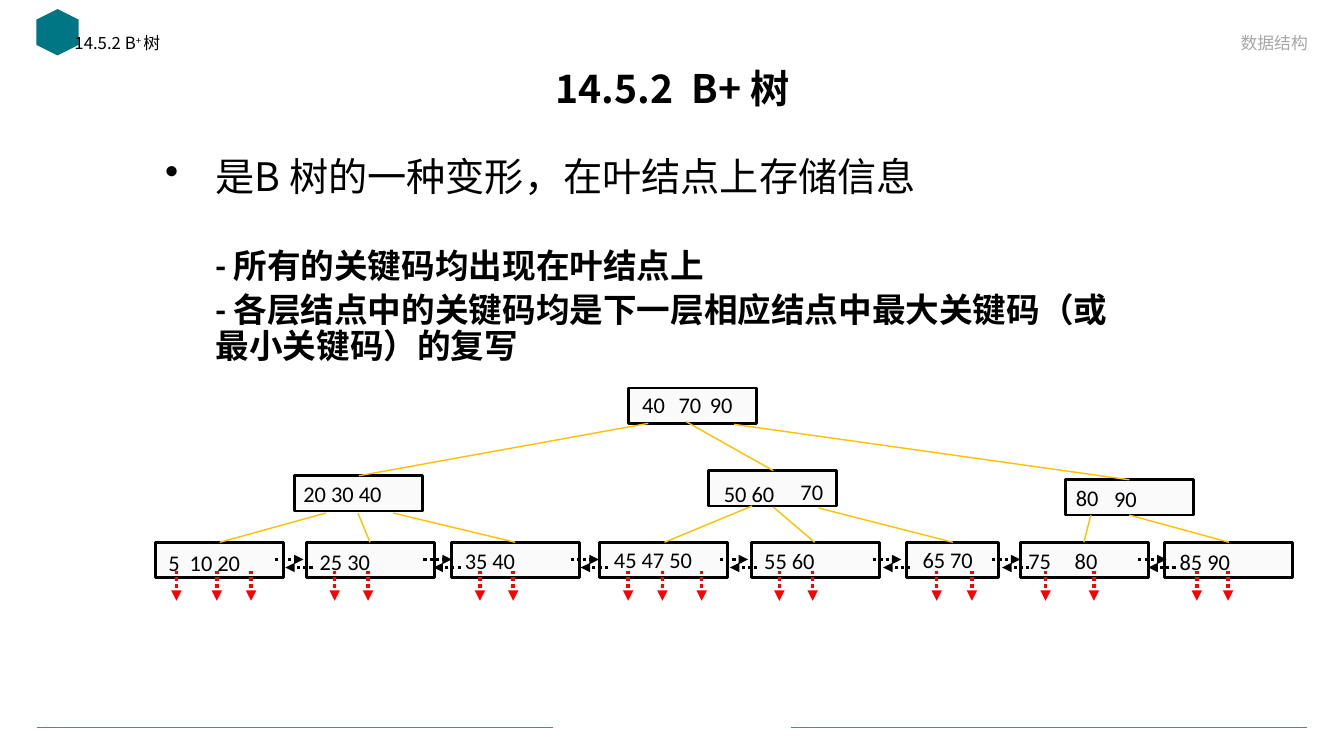
from dataclasses import dataclass

from lxml import etree
from pptx import Presentation
from pptx.dml.color import RGBColor
from pptx.enum.dml import MSO_LINE
from pptx.enum.shapes import MSO_CONNECTOR, MSO_SHAPE
from pptx.enum.text import MSO_ANCHOR as ANCHOR, PP_ALIGN as ALIGN
from pptx.oxml.ns import qn
from pptx.util import Inches, Pt


@dataclass(frozen=True)
class Theme:
    teal: str = "00ABA5"
    dark_teal: str = "007684"
    black: str = "000000"
    grey: str = "A6A6A6"
    node: str = "F2F2F2"
    edge: str = "FFC000"
    pointer: str = "FF0000"
    cjk: str = "Noto Sans CJK SC"
    latin: str = "Calibri"
    title: int = 28
    point: int = 24
    key: int = 16
    header: int = 12


LEAF_Y, NODE_W, NODE_H = 5.38, 1.27, 0.35

# left, top, width, [(key text, left, top)]
NODES = [
    (6.23, 3.85, NODE_W, [("40", 6.24, 3.86), ("70", 6.6, 3.86), ("90", 6.91, 3.86)]),
    (2.92, 4.72, NODE_W, [("20 30 40", 2.88, 4.74)]),
    (7.03, 4.67, NODE_W, [("50 60", 7.05, 4.74), ("70", 7.81, 4.73)]),
    (10.57, 4.76, NODE_W, [("80", 10.54, 4.78), ("90", 10.92, 4.79)]),
    (1.54, LEAF_Y, NODE_W, [("5  10 20", 1.54, 5.43)]),
    (3.04, LEAF_Y, NODE_W, [("25 30", 3.04, 5.42)]),
    (4.48, LEAF_Y, NODE_W, [("35 40", 4.48, 5.41)]),
    (5.95, LEAF_Y, NODE_W, [("45 47 50", 5.96, 5.4)]),
    (7.45, LEAF_Y, NODE_W, [("55 60", 7.45, 5.41)]),
    (8.99, LEAF_Y, 0.91, [("65 70", 9.02, 5.4)]),
    (10.12, LEAF_Y, NODE_W, [("75", 10.07, 5.41), ("80", 10.53, 5.41)]),
    (11.55, LEAF_Y, NODE_W, [("85 90", 11.57, 5.42)]),
]
EDGES = [
    (6.43, 4.2, 3.56, 4.72), (6.8, 4.18, 7.67, 4.67), (7.28, 4.21, 11.2, 4.76),
    (3.23, 5.09, 2.18, 5.38), (3.55, 5.09, 3.67, 5.38), (3.9, 5.09, 5.11, 5.38),
    (7.46, 5.02, 6.59, 5.38), (7.67, 5.03, 8.08, 5.38), (8.12, 5.04, 9.45, 5.38),
    (10.82, 5.11, 10.75, 5.38), (11.2, 5.11, 12.19, 5.38),
]
POINTERS = [1.75, 2.15, 2.49, 3.32, 3.65, 4.76, 5.09, 6.23, 6.57, 6.96,
            7.73, 8.06, 9.29, 9.64, 10.37, 10.85, 11.87, 12.18]
SIBLING_LINKS = [2.73, 4.2, 5.66, 7.14, 8.66, 9.84, 11.29]


class SlideBuilder:
    def __init__(self, slide, theme):
        self.shapes = slide.shapes
        self.theme = theme

    def text(self, box, paras, size, font=None, color=None, bold=False,
             align=ALIGN.LEFT, anchor=ANCHOR.TOP, spacing=0.9, inset=(0.1, 0.05)):
        """Add a text box; each paragraph is a string or a list of (text, baseline)."""
        tf = self.shapes.add_textbox(*map(Inches, box)).text_frame
        tf.word_wrap = True
        tf.vertical_anchor = anchor
        tf.margin_left = tf.margin_right = Inches(inset[0])
        tf.margin_top = tf.margin_bottom = Inches(inset[1])
        for i, runs in enumerate(paras):
            p = tf.add_paragraph() if i else tf.paragraphs[0]
            for words, baseline in [(runs, 0)] if isinstance(runs, str) else runs:
                r = p.add_run()
                r.text = words
                if baseline:
                    r._r.get_or_add_rPr().set("baseline", str(baseline))
            self.style(p, size, font or self.theme.cjk, color or self.theme.black, bold)
            p.alignment = align
            p.line_spacing = spacing
        return tf

    def style(self, p, size, font, color, bold):
        p.font.size = Pt(size)
        p.font.name = font
        p.font.bold = bold
        p.font.color.rgb = RGBColor.from_string(color)

    def indent(self, p, left, first=0, bullet=None):
        pPr = p._p.get_or_add_pPr()
        pPr.set("marL", str(Inches(left)))
        pPr.set("indent", str(Inches(first)))
        if bullet:
            bu = etree.Element(qn("a:buChar"), char=bullet)
            defaults = pPr.find(qn("a:defRPr"))
            defaults.addprevious(bu)

    def shape(self, kind, box, fill, alpha=None, line=None, rotation=0):
        sp = self.shapes.add_shape(kind, *map(Inches, box))
        sp.shadow.inherit = False
        sp.rotation = rotation
        sp.fill.solid()
        sp.fill.fore_color.rgb = RGBColor.from_string(fill)
        if alpha:
            clr = sp._element.spPr.find(".//" + qn("a:srgbClr"))
            etree.SubElement(clr, qn("a:alpha"), val=str(alpha * 1000))
        if line:
            sp.line.color.rgb = RGBColor.from_string(line)
            sp.line.width = Pt(2)
        else:
            sp.line.fill.background()
        return sp

    def line(self, x1, y1, x2, y2, color, width, dotted_arrow=False):
        cx = self.shapes.add_connector(MSO_CONNECTOR.STRAIGHT,
                                       *map(Inches, (x1, y1, x2, y2)))
        cx.line.color.rgb = RGBColor.from_string(color)
        cx.line.width = Pt(width)
        if dotted_arrow:
            cx.line.dash_style = MSO_LINE.ROUND_DOT
            etree.SubElement(cx.line._get_or_add_ln(), qn("a:tailEnd"), type="triangle")
        etree.SubElement(cx._element.spPr, qn("a:effectLst"))

    def node(self, left, top, width, keys):
        t = self.theme
        self.shape(MSO_SHAPE.RECTANGLE, (left, top, width, NODE_H), t.node, 32, t.black)
        for key, x, y in keys:
            key_width = NODE_W if " " in key else 0.6
            self.text((x, y, key_width, 0.36), [key], t.key, t.latin,
                      spacing=0.8, inset=(0.13, 0.07))


def add_frame(b):
    t = b.theme
    for left in (0.37, 7.85):
        b.line(left, 7.22, left + 5.11, 7.22, t.teal, 0.5)
    b.shape(MSO_SHAPE.HEXAGON, (0.34, 0.11, 0.46, 0.42), t.dark_teal, rotation=90)
    b.text((0.92, 0.62, 11.5, 0.57), ["14.5.2  B+ 树"], t.title, bold=True,
           align=ALIGN.CENTER, anchor=ANCHOR.MIDDLE)
    b.text((0.64, 0.3, 5.32, 0.36), [[("14.5.2 B", 0), ("+ ", 30000), ("树", 0)]], t.header)
    b.text((7.43, 0.22, 5.64, 0.35), ["数据结构"], t.header, color=t.grey,
           align=ALIGN.RIGHT, anchor=ANCHOR.BOTTOM, spacing=1.0)


def add_points(b):
    t = b.theme
    tf = b.text((1.54, 1.51, 9.62, 2.3), [
        "是B 树的一种变形，在叶结点上存储信息",
        "- 所有的关键码均出现在叶结点上",
        "- 各层结点中的关键码均是下一层相应结点中最大关键码（或最小关键码）的复写",
    ], t.title)
    lead, *details = tf.paragraphs
    b.indent(lead, 0.5, -0.5, "•")
    for p, before in zip(details, (36, 5)):
        b.indent(p, 0.5)
        p.level = 1
        p.space_before = Pt(before)
        b.style(p, t.point, t.latin, t.black, True)


def add_tree(b):
    t = b.theme
    for node in NODES:
        b.node(*node)
    for edge in EDGES:
        b.line(*edge, t.edge, 1)
    for x in POINTERS:
        b.line(x, 5.66, x, 5.96, t.pointer, 2.5, dotted_arrow=True)
    for x in SIBLING_LINKS:
        b.line(x, 5.55, x + 0.28, 5.55, t.black, 2.25, dotted_arrow=True)
        b.line(x + 0.37, 5.63, x + 0.1, 5.63, t.black, 2.25, dotted_arrow=True)


def main():
    prs = Presentation()
    prs.slide_width, prs.slide_height = Inches(13.33), Inches(7.5)
    b = SlideBuilder(prs.slides.add_slide(prs.slide_layouts[6]), Theme())
    add_frame(b)
    add_points(b)
    add_tree(b)
    prs.save("out.pptx")


if __name__ == "__main__":
    main()
